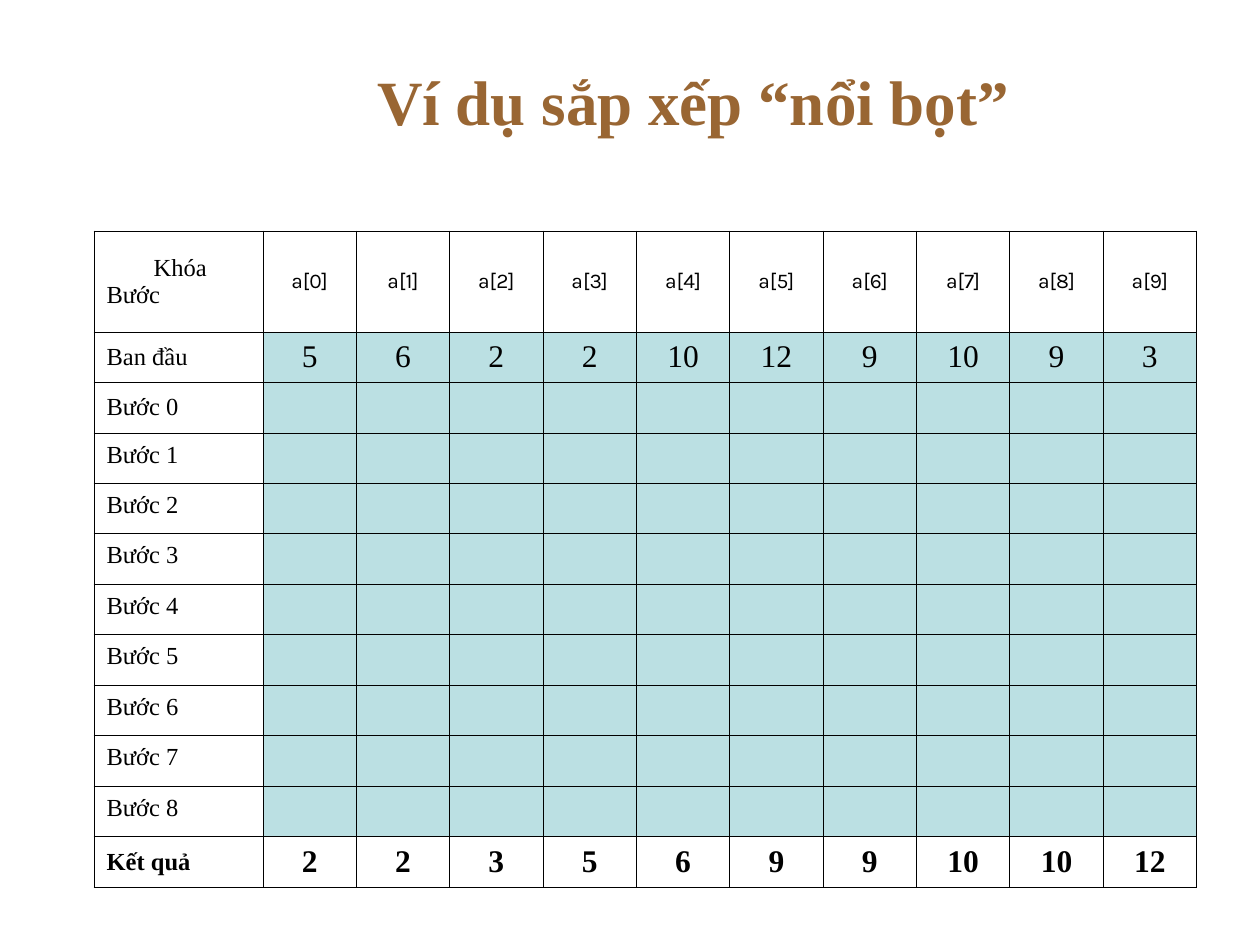
from pptx import Presentation
from pptx import util as u
from pptx.dml.color import RGBColor
from pptx.enum import text
from pptx.oxml import parse_xml
from pptx.oxml.ns import nsdecls

HUES = {"title": "996633", "ink": "000000", "cell": "BBE0E3"}
SERIF = "Times New Roman"
MID = text.MSO_ANCHOR.MIDDLE
CENTER = text.PP_ALIGN.CENTER
JUST = text.PP_ALIGN.JUSTIFY
START = [5, 6, 2, 2, 10, 12, 9, 10, 9, 3]
STEPS = 9


def px(n):
    return u.Emu(n * 914400 // 126)


def add_run(para, words, size, face=SERIF, hue="ink", bold=False):
    run = para.add_run()
    run.text = words
    font = run.font
    font.size = u.Pt(size)
    font.name = face
    font.bold = bold
    font.color.rgb = RGBColor.from_string(HUES[hue])


def add_title(slide, words):
    box = slide.shapes.add_textbox(px(147), px(21), px(1092), px(158))
    frame = box.text_frame
    frame.word_wrap = True
    frame.vertical_anchor = MID
    para = frame.paragraphs[0]
    para.alignment = CENTER
    add_run(para, words, 36, hue="title", bold=True)


def style_cell(cell, fill=None):
    props = cell._tc.get_or_add_tcPr()
    for side in "LRTB":
        props.append(parse_xml(
            f'<a:ln{side} {nsdecls("a")} w="5715"><a:solidFill>'
            f'<a:srgbClr val="{HUES["ink"]}"/></a:solidFill></a:ln{side}>'))
    if fill:
        cell.fill.solid()
        cell.fill.fore_color.rgb = RGBColor.from_string(HUES[fill])
    else:
        cell.fill.background()
    cell.vertical_anchor = MID
    cell.margin_top = cell.margin_bottom = 0


def write_cell(cell, words, size, align=CENTER, space=None, **look):
    para = cell.text_frame.paragraphs[0]
    para.alignment = align
    para.line_spacing = space
    add_run(para, words, size, **look)


def write_corner(cell):
    write_cell(cell, "Khóa", 14, JUST)
    first = cell.text_frame.paragraphs[0]
    first._p.get_or_add_pPr().set("marL", str(px(47)))
    para = cell.text_frame.add_paragraph()
    para.alignment = JUST
    add_run(para, "Bước", 14)


def add_grid(slide):
    rows, cols = STEPS + 3, len(START) + 1
    frame = slide.shapes.add_table(
        rows, cols, px(94), px(231), px(1103), px(656))
    table = frame.table
    table.first_row = table.horz_banding = False
    for col in table.columns:
        col.width = px(934) // len(START)
    table.columns[0].width = px(169)
    for row in table.rows:
        row.height = px(555) // (rows - 1)
    table.rows[0].height = px(101)
    for r in range(rows):
        for c in range(cols):
            shaded = c > 0 and 0 < r < rows - 1
            style_cell(table.cell(r, c), "cell" if shaded else None)
    return table


def fill_grid(table):
    last = STEPS + 2
    write_corner(table.cell(0, 0))
    write_cell(table.cell(1, 0), "Ban đầu", 14, JUST)
    for step in range(STEPS):
        write_cell(table.cell(step + 2, 0), f"Bước {step}", 14, JUST,
                   0.6 if step else None)
    write_cell(table.cell(last, 0), "Kết quả", 14, JUST, bold=True)
    for i, (key, final) in enumerate(zip(START, sorted(START))):
        write_cell(table.cell(0, i + 1), f"a[{i}]", 12, face="Karla")
        write_cell(table.cell(1, i + 1), str(key), 18)
        write_cell(table.cell(last, i + 1), str(final), 18, bold=True)


def main():
    deck = Presentation()
    deck.slide_width, deck.slide_height = px(1260), px(945)
    slide = deck.slides.add_slide(deck.slide_layouts[6])
    add_title(slide, "Ví dụ sắp xếp “nổi bọt”")
    fill_grid(add_grid(slide))
    deck.save("out.pptx")


if __name__ == "__main__":
    main()
